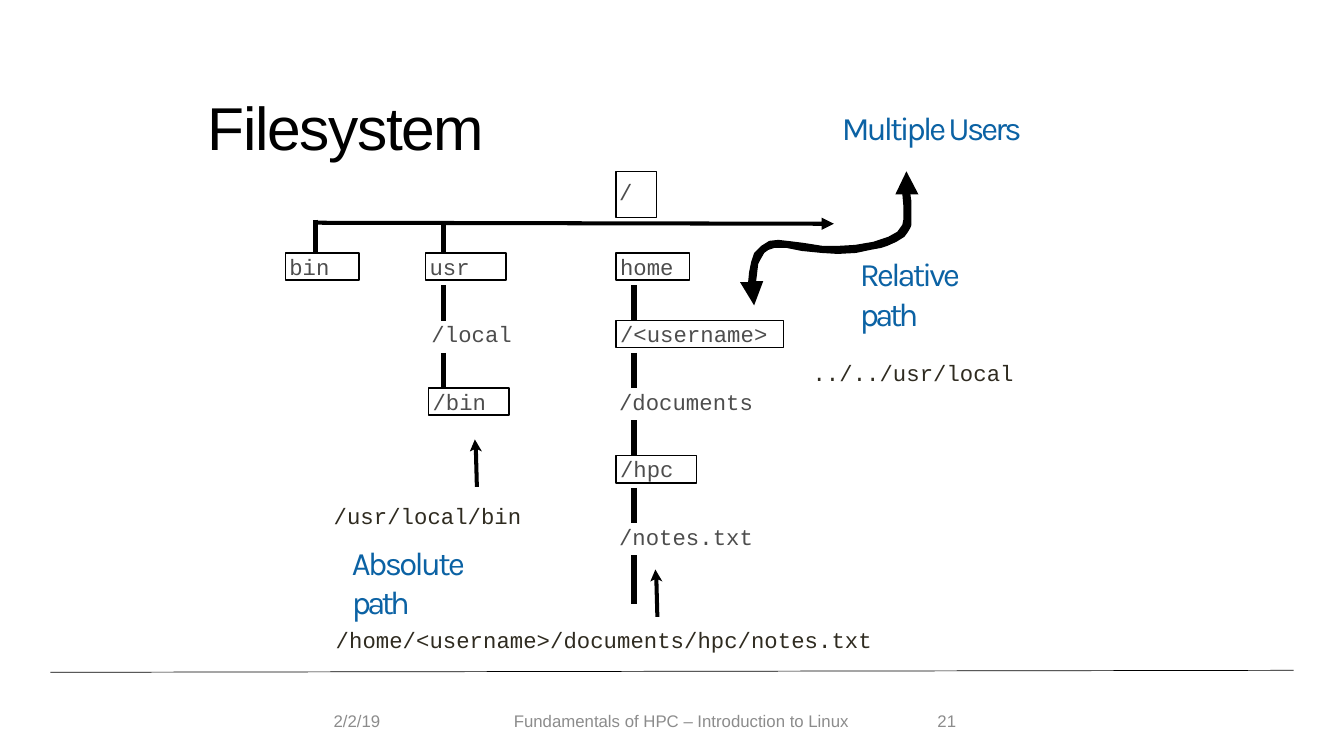
import pptx
import pptx.util
import pptx.dml.color
import pptx.enum.shapes
import pptx.enum.text
import lxml.etree
from dataclasses import dataclass


@dataclass(frozen=True)
class Theme:
    black: str = "000000"
    grey: str = "4D4D4D"
    dark: str = "2F2B20"
    blue: str = "0B62A4"
    pale: str = "8C8C8C"
    sans: str = "Arial"
    mono: str = "Courier New"
    brand: str = "Karla"
    head: float = 43.2
    label: float = 23.4
    code: float = 15.9
    small: float = 12


THEME = Theme()
COLS, ROWS = 13.33, 7.5
CELL = pptx.util.Inches(1)
STEP = 0.67
BOX = 0.27
ANCHOR = pptx.enum.text.MSO_ANCHOR
ALIGN = pptx.enum.text.PP_ALIGN
MARGINS = ("margin_left", "margin_top", "margin_right", "margin_bottom")

HEAD = (THEME.head, THEME.sans, THEME.black)
NODE = (THEME.code, THEME.mono, THEME.grey)
CODE = (THEME.code, THEME.mono, THEME.dark)
LABEL = (THEME.label, THEME.brand, THEME.blue)
FOOT = (THEME.small, THEME.sans, THEME.pale)

UP = [(5, 0), (12, 12), (8, 10), (9, 47), (5, 47), (4, 10), (0, 12)]
TRUNK = [(0, 3), (0, 7), (502, 8), (502, 12), (514, 6), (502, 0), (502, 4)]
CURVE = [
    (165, 0), (177, 23), (169, 23), (170, 30), (170, 53), (169, 56),
    (166, 61), (163, 65), (155, 70), (146, 74), (140, 76), (129, 78),
    (115, 81), (97, 82), (81, 81), (61, 79), (46, 76), (38, 76), (34, 76),
    (28, 78), (24, 81), (20, 88), (18, 92), (17, 101), (16, 109), (23, 109),
    (14, 133), (0, 110), (8, 110), (9, 100), (11, 90), (14, 81), (21, 74),
    (29, 69), (38, 68), (47, 69), (63, 71), (82, 74), (97, 74), (114, 73),
    (132, 70), (147, 65), (156, 60), (161, 53), (162, 48), (162, 34),
    (161, 23), (154, 23),
]


def cells(*vals):
    return [round(v * CELL) for v in vals]


def tint(code):
    return pptx.dml.color.RGBColor.from_string(code)


def apply(item, form):
    for key, val in form.items():
        setattr(item, key, val)


def write(shape, paras, insets=(0, 0.01, 0, 0), **form):
    frame = shape.text_frame
    apply(frame, dict(zip(MARGINS, cells(*insets))))
    apply(frame, {"word_wrap": True, "vertical_anchor": ANCHOR.TOP, **form})
    for i, (runs, style, indent, gap, align) in enumerate(paras):
        para = frame.paragraphs[0] if i == 0 else frame.add_paragraph()
        para.alignment = align
        props = para._p.get_or_add_pPr()
        props.set("marL", str(cells(indent)[0]))
        props.set("indent", "0")
        if gap:
            para.space_before = pptx.util.Pt(gap)
        size, face, color = style
        for text, track in runs:
            run = para.add_run()
            run.text = text
            apply(run.font, {"size": pptx.util.Pt(size), "name": face})
            run.font.color.rgb = tint(color)
            if track:
                run._r.get_or_add_rPr().set("spc", str(round(track * 100)))


def para(runs, style, indent=0.01, gap=0, align=ALIGN.LEFT):
    if isinstance(runs, str):
        runs = [(runs, 0)]
    return runs, style, indent, gap, align


def note(slide, box, *paras, **form):
    write(slide.shapes.add_textbox(*cells(*box)), paras, **form)


def frame(slide, box):
    shape = slide.shapes.add_shape(
        pptx.enum.shapes.MSO_SHAPE.RECTANGLE, *cells(*box))
    shape.shadow.inherit = False
    shape.fill.background()
    shape.line.color.rgb = tint(THEME.black)
    shape.line.width = pptx.util.Pt(1.07)
    return shape


def rule(slide, x, y, to_x, to_y, width):
    line = slide.shapes.add_connector(
        pptx.enum.shapes.MSO_CONNECTOR.STRAIGHT, *cells(x, y, to_x, to_y))
    line.line.color.rgb = tint(THEME.black)
    line.line.width = pptx.util.Pt(width)
    space = "{http://schemas.openxmlformats.org/drawingml/2006/main}"
    lxml.etree.SubElement(line._element.spPr, space + "effectLst")


def solid(slide, x, y, points):
    draft = slide.shapes.build_freeform(*points[0], scale=CELL / 100)
    draft.add_line_segments(points[1:], close=True)
    shape = draft.convert_to_shape(*cells(x, y))
    shape.shadow.inherit = False
    shape.fill.solid()
    shape.fill.fore_color.rgb = tint(THEME.black)
    shape.line.fill.background()


def branch(slide, x, y, nodes):
    for i, (name, dx, width, boxed) in enumerate(nodes):
        left, top = x + dx, y + i * STEP
        if boxed:
            write(frame(slide, (left, top, width, BOX)),
                  [para(name, NODE, 0.04)], insets=(0, 0, 0, 0))
        else:
            note(slide, (left + 0.02, top - 0.01, width, 0.28), para(name, NODE))


def stem(slide, x, y, count, width, last=0.35):
    for i in range(count):
        top = y + i * STEP
        size = last if i == count - 1 else 0.35
        rule(slide, x, top, x, top + size, width)


def tree(slide, x, y):
    rule(slide, x + 0.3, y + 0.48, x + 0.3, y + 0.81, 3.57)
    rule(slide, x + 1.57, y + 0.51, x + 1.57, y + 0.81, 3.75)
    stem(slide, x + 1.57, y + 1.13, 2, 3.75)
    stem(slide, x + 3.46, y + 1.13, 5, 4.7, 0.48)
    frame(slide, (x + 3.28, y, 0.4, 0.46))
    note(slide, (x + 3.3, y + 0.06, 0.16, 0.28), para("/", NODE))
    top = y + 0.81
    branch(slide, x, top, [("bin", 0, 0.73, True)])
    branch(slide, x + 1.39, top, [
        ("usr", 0, 0.8, True),
        ("/local", 0.03, 0.83, False),
        ("/bin", 0.03, 0.8, True)])
    branch(slide, x + 3.28, top, [
        ("home", 0, 0.73, True),
        ("/<username>", 0, 1.66, True),
        ("/documents", 0, 1.36, False),
        ("/hpc", 0, 0.8, True),
        ("/notes.txt", 0, 1.36, False)])
    solid(slide, x + 0.3, y + 0.46, TRUNK)


def full(slide, x, y):
    solid(slide, x + 1.36, y, UP)
    solid(slide, x + 3.15, y + 1.29, UP)
    note(slide, (x, y + 0.52, 1.88, 0.9),
         para("/usr/local/bin", CODE),
         para([("Absolute ", -1.9), ("path", -2.7)], LABEL, 0.19, 9.8),
         insets=(0, 0.1, 0, 0))
    note(slide, (x + 0.02, y + 1.84, 5.38, 0.28),
         para("/home/<username>/documents/hpc/notes.txt", CODE))


def users(slide, x, y):
    note(slide, (x + 0.53, y, 3.08, 0.41),
         para([("Multiple Users", -2)], LABEL, 0.48))
    solid(slide, x, y + 0.64, CURVE)
    note(slide, (x + 0.71, y + 1.45, 2.03, 0.94),
         para([("Relative ", -2), ("path", -2.6)], LABEL, 0.48),
         para("../../usr/local", CODE, gap=19.2))


def footer(slide, x, y, width):
    rule(slide, x, y + 0.02, x + width, y, 0.5)
    for text, dx, size, align in (
            ("2/2/19", 2.71, 0.89, ALIGN.LEFT),
            ("Fundamentals of HPC – Introduction to Linux", 4.01, 4.5, ALIGN.CENTER),
            ("21", 8.7, 0.96, ALIGN.LEFT)):
        note(slide, (x + dx, y + 0.3, size, 0.4),
             para(text, FOOT, 0, align=align),
             insets=(0.1, 0.05, 0.1, 0.05), vertical_anchor=ANCHOR.MIDDLE)


def main():
    deck = pptx.Presentation()
    deck.slide_width, deck.slide_height = cells(COLS, ROWS)
    slide = deck.slides.add_slide(deck.slide_layouts[6])
    footer(slide, 0.5, 6.65, COLS - 1)
    note(slide, (2.05, 0.88, 2.9, 0.74), para([("Filesystem", -1)], HEAD))
    tree(slide, 2.83, 1.7)
    full(slide, 3.3, 4.36)
    users(slide, 7.34, 1.06)
    deck.save("out.pptx")


if __name__ == "__main__":
    main()
